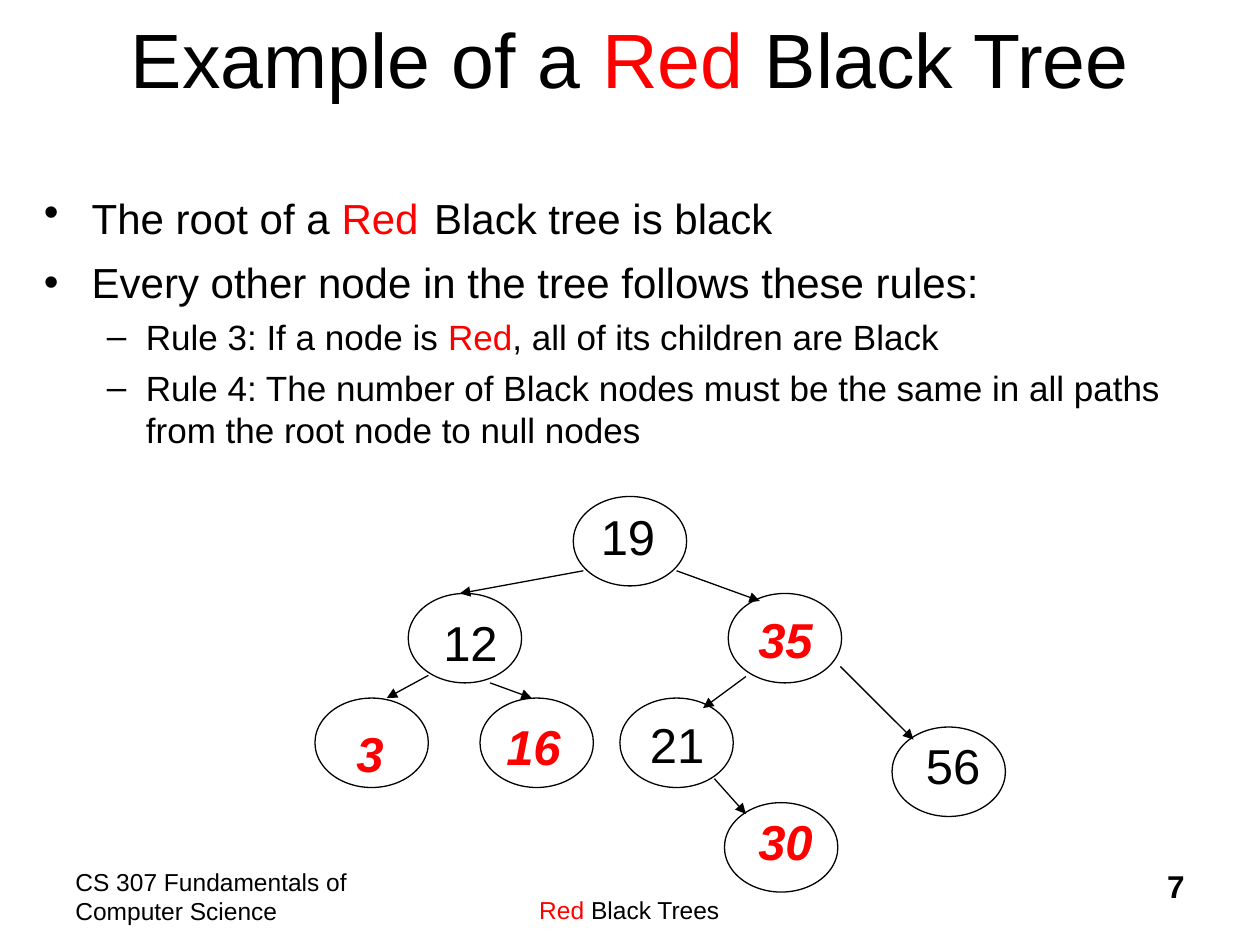
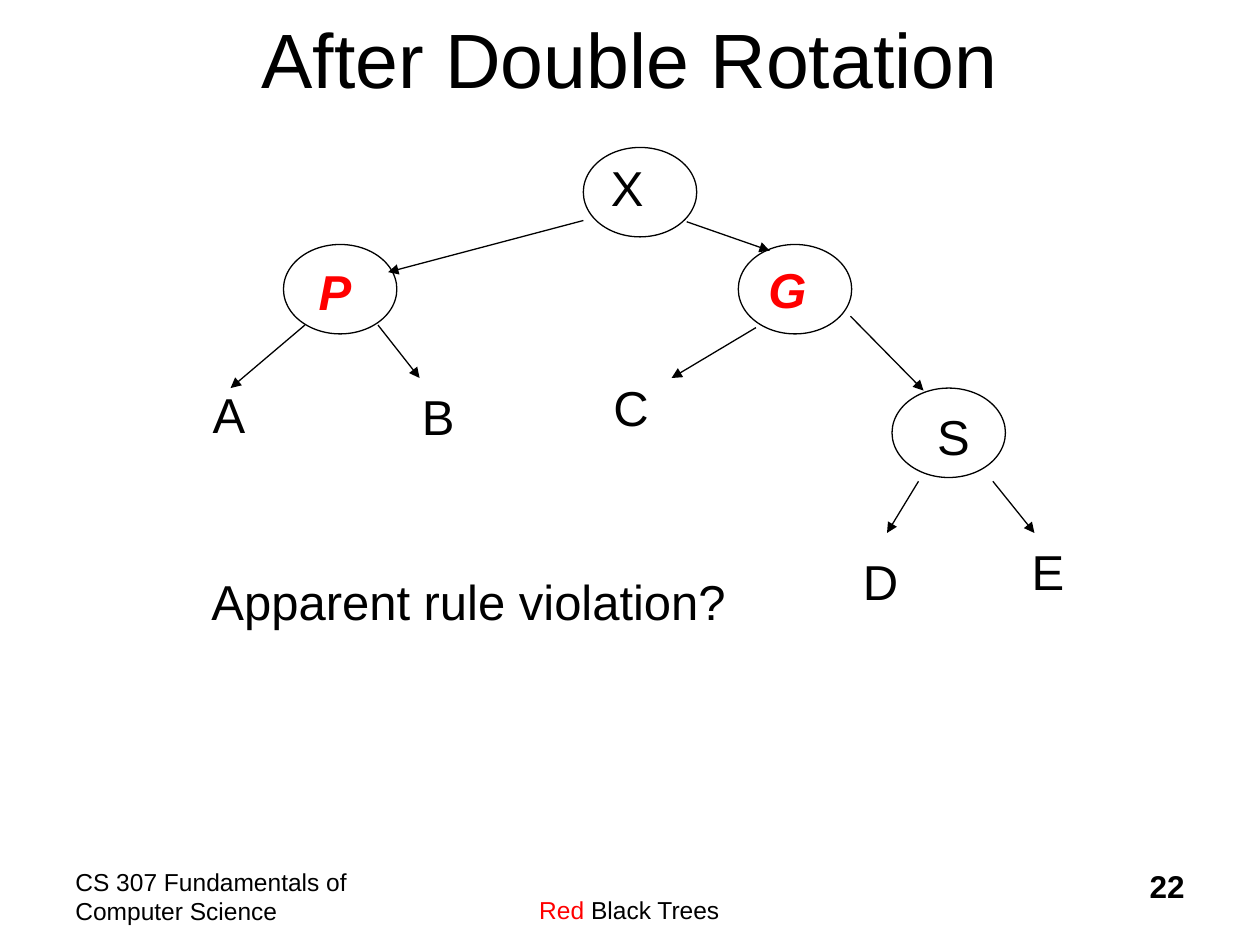
from dataclasses import dataclass
from typing import NamedTuple, Optional

from lxml.etree import SubElement
from pptx import Presentation
from pptx.dml.color import RGBColor
from pptx.enum.shapes import MSO_CONNECTOR, MSO_SHAPE
from pptx.enum.text import MSO_ANCHOR, MSO_AUTO_SIZE, PP_ALIGN
from pptx.oxml.ns import qn
from pptx.util import Emu, Pt

EMU_PER_PX = 9144
FONT = "Arial"
COLORS = {"black": "000000", "red": "FF0000"}
OVAL_WIDTH, OVAL_HEIGHT = 90, 71
LABEL_HEIGHT = 57
LINE_WIDTH = 0.75


class Box(NamedTuple):
    left: int
    top: int
    width: int
    height: int


class Span(NamedTuple):
    text: str
    color: str = "black"
    size: Optional[int] = None


class Arrow(NamedTuple):
    from_x: int
    from_y: int
    to_x: int
    to_y: int


class Label(NamedTuple):
    text: str
    left: int
    top: int
    width: int


@dataclass(frozen=True)
class Node:
    label: Label
    oval_left: int
    oval_top: int
    red: bool = False


@dataclass(frozen=True)
class Bullet:
    spans: list[Span]
    size: int
    mark: str
    level: int
    margin: int
    hanging: int
    space_before: int


@dataclass(frozen=True)
class TreeSlide:
    title: list[Span]
    number: int
    nodes: list[Node]
    arrows: list[Arrow]
    labels: list[Label]
    bullets: list[Bullet]


TITLE_BOX = Box(75, -17, 850, 125)
RULES_BOX = Box(25, 137, 950, 250)
COURSE_BOX = Box(50, 683, 250, 50)
TOPIC_BOX = Box(308, 705, 383, 28)
NUMBER_BOX = Box(742, 683, 208, 50)


def px(length: int) -> Emu:
    return Emu(length * EMU_PER_PX)


def rgb(name: str) -> RGBColor:
    return RGBColor.from_string(COLORS[name])


def write(paragraph, spans: list[Span], size: int, align=PP_ALIGN.LEFT,
          bold: bool = False, italic: bool = False) -> None:
    paragraph.alignment = align
    font = paragraph.font
    font.name, font.size, font.bold, font.italic = FONT, Pt(size), bold, italic
    same_color = len({span.color for span in spans}) == 1
    if same_color:
        font.color.rgb = rgb(spans[0].color)
    for span in spans:
        run = paragraph.add_run()
        run.text = span.text
        if not same_color:
            run.font.color.rgb = rgb(span.color)
        if span.size:
            run.font.size = Pt(span.size)


def add_text_frame(slide, box: Box, wrap: bool = True):
    frame = slide.shapes.add_textbox(*map(px, box)).text_frame
    frame.word_wrap = wrap
    frame.auto_size = MSO_AUTO_SIZE.NONE if wrap else MSO_AUTO_SIZE.SHAPE_TO_FIT_TEXT
    return frame


def add_title(slide, spans: list[Span]) -> None:
    title = slide.shapes.title
    title.left, title.top, title.width, title.height = map(px, TITLE_BOX)
    frame = title.text_frame
    frame.auto_size = MSO_AUTO_SIZE.NONE
    frame.vertical_anchor = MSO_ANCHOR.MIDDLE
    write(frame.paragraphs[0], spans, 44, PP_ALIGN.CENTER)


def add_footers(slide, number: int) -> None:
    course = add_text_frame(slide, COURSE_BOX)
    write(course.paragraphs[0], [Span("CS 307 Fundamentals of Computer Science")], 14)
    topic = add_text_frame(slide, TOPIC_BOX)
    write(topic.paragraphs[0], [Span("Red", "red"), Span(" Black Trees")], 14,
          PP_ALIGN.CENTER)
    page = add_text_frame(slide, NUMBER_BOX)
    write(page.paragraphs[0], [Span(str(number))], 18, PP_ALIGN.RIGHT, bold=True)


def add_bullets(slide, bullets: list[Bullet]) -> None:
    frame = add_text_frame(slide, RULES_BOX)
    for index, bullet in enumerate(bullets):
        paragraph = frame.add_paragraph() if index else frame.paragraphs[0]
        paragraph.level = bullet.level
        properties = paragraph._p.get_or_add_pPr()
        properties.set("marL", str(px(bullet.margin)))
        properties.set("indent", str(px(-bullet.hanging)))
        SubElement(properties, qn("a:buFont"), typeface=FONT)
        SubElement(properties, qn("a:buChar"), char=bullet.mark)
        paragraph.space_before = Pt(bullet.space_before)
        write(paragraph, bullet.spans, bullet.size)


def add_label(slide, label: Label, red: bool = False) -> None:
    box = Box(label.left, label.top, label.width, LABEL_HEIGHT)
    paragraph = add_text_frame(slide, box, wrap=False).paragraphs[0]
    paragraph.space_before = Pt(7)
    write(paragraph, [Span(label.text, "red" if red else "black")], 28,
          bold=red, italic=red)


def add_node(slide, node: Node) -> None:
    box = Box(node.oval_left, node.oval_top, OVAL_WIDTH, OVAL_HEIGHT)
    oval = slide.shapes.add_shape(MSO_SHAPE.OVAL, *map(px, box))
    oval.shadow.inherit = False
    oval.fill.background()
    oval.line.color.rgb = rgb("black")
    oval.line.width = Pt(LINE_WIDTH)
    add_label(slide, node.label, node.red)


def add_arrow(slide, arrow: Arrow) -> None:
    connector = slide.shapes.add_connector(MSO_CONNECTOR.STRAIGHT, *map(px, arrow))
    connector.line.color.rgb = rgb("black")
    connector.line.width = Pt(LINE_WIDTH)
    SubElement(connector.line._get_or_add_ln(), qn("a:tailEnd"), type="triangle")
    SubElement(connector._element.spPr, qn("a:effectLst"))


def rule(*spans: Span) -> Bullet:
    return Bullet(list(spans), 24, "•", 0, 38, 38, 6)


def subrule(*spans: Span) -> Bullet:
    return Bullet(list(spans), 20, "–", 1, 81, 31, 5)


EXAMPLE = TreeSlide(
    title=[Span("Example of a "), Span("Red", "red"), Span(" Black Tree")],
    number=7,
    nodes=[
        Node(Label("19", 467, 397, 63), 455, 394),
        Node(Label("12", 342, 481, 63), 324, 471),
        Node(Label("35", 592, 479, 63), 578, 471, red=True),
        Node(Label("3", 273, 569, 41), 250, 554, red=True),
        Node(Label("16", 392, 564, 63), 381, 554, red=True),
        Node(Label("56", 725, 579, 63), 708, 577),
        Node(Label("21", 506, 562, 63), 492, 554),
        Node(Label("30", 592, 639, 63), 575, 637, red=True),
    ],
    arrows=[
        Arrow(463, 453, 365, 471),
        Arrow(537, 453, 603, 477),
        Arrow(340, 536, 307, 554),
        Arrow(389, 542, 422, 554),
        Arrow(667, 529, 725, 587),
        Arrow(592, 537, 558, 562),
        Arrow(567, 618, 592, 646),
    ],
    labels=[],
    bullets=[
        rule(Span("The root of a "), Span("Red", "red"), Span(" ", size=32),
             Span("Black tree is black")),
        rule(Span("Every other node in the tree follows these rules:")),
        subrule(Span("Rule 3: If a node is "), Span("Red", "red"),
                Span(", all of its children are Black")),
        subrule(Span("Rule 4: The number of Black nodes must be the same in all "
                     "paths from the root node to null nodes")),
    ],
)

ROTATION = TreeSlide(
    title=[Span("After Double Rotation")],
    number=22,
    nodes=[
        Node(Label("X", 475, 120, 46), 463, 117),
        Node(Label("P", 243, 203, 46), 225, 194, red=True),
        Node(Label("G", 600, 201, 50), 586, 194, red=True),
        Node(Label("S", 734, 318, 46), 708, 308),
    ],
    arrows=[
        Arrow(463, 175, 308, 216),
        Arrow(545, 176, 611, 199),
        Arrow(675, 251, 733, 310),
        Arrow(600, 260, 533, 300),
        Arrow(242, 258, 183, 308),
        Arrow(300, 258, 333, 300),
        Arrow(729, 382, 704, 423),
        Arrow(788, 382, 821, 423),
    ],
    labels=[
        Label("A", 159, 300, 46),
        Label("B", 325, 302, 46),
        Label("C", 477, 295, 48),
        Label("D", 675, 433, 48),
        Label("E", 809, 425, 46),
        Label("Apparent rule violation?", 158, 449, 428),
    ],
    bullets=[],
)


def add_tree_slide(deck, content: TreeSlide) -> None:
    slide = deck.slides.add_slide(deck.slide_layouts.get_by_name("Title Only"))
    add_title(slide, content.title)
    add_footers(slide, content.number)
    if content.bullets:
        add_bullets(slide, content.bullets)
    for node in content.nodes:
        add_node(slide, node)
    for arrow in content.arrows:
        add_arrow(slide, arrow)
    for label in content.labels:
        add_label(slide, label)


def main() -> None:
    deck = Presentation()
    deck.slide_width, deck.slide_height = px(1000), px(750)
    for content in (EXAMPLE, ROTATION):
        add_tree_slide(deck, content)
    deck.save("out.pptx")


if __name__ == "__main__":
    main()
